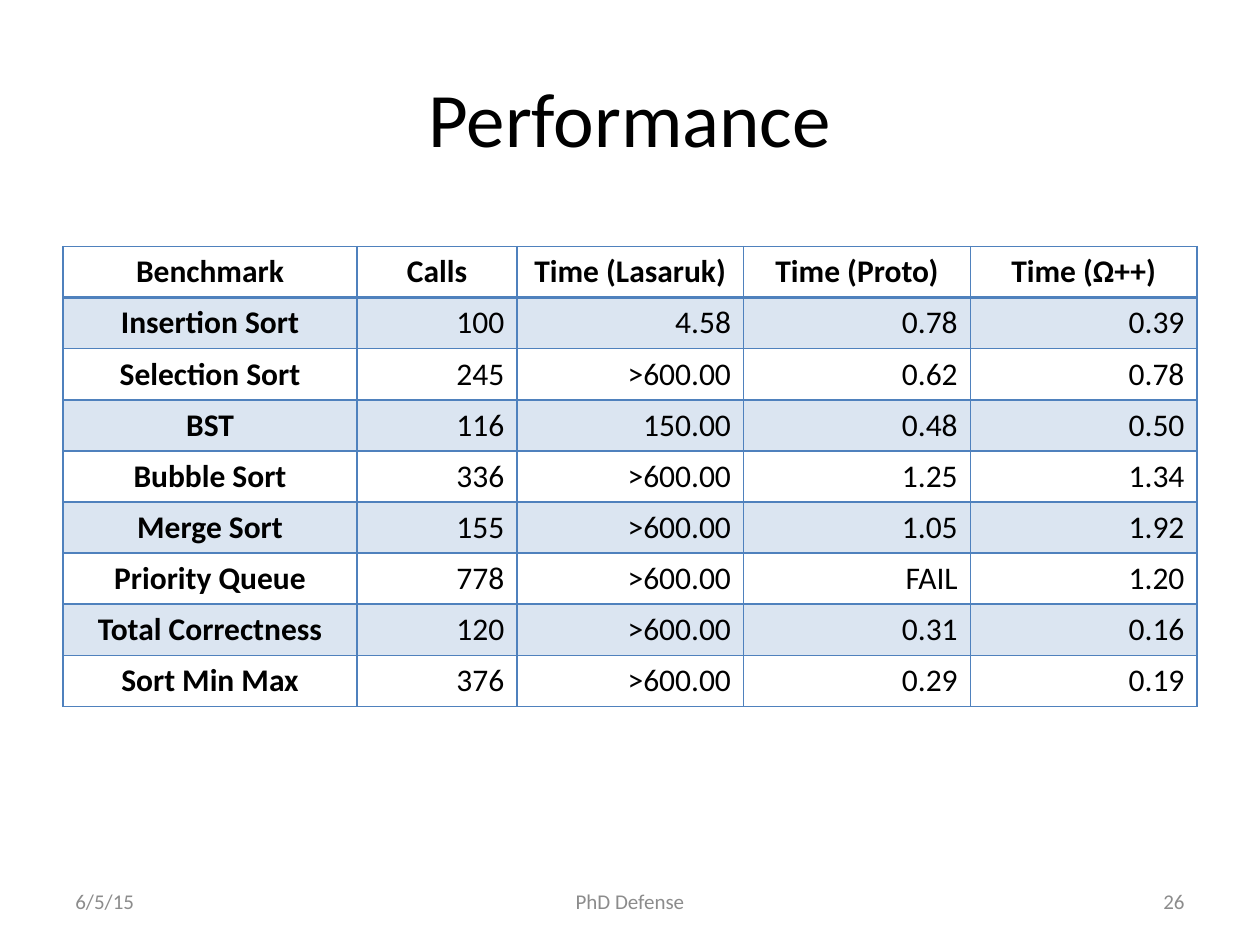
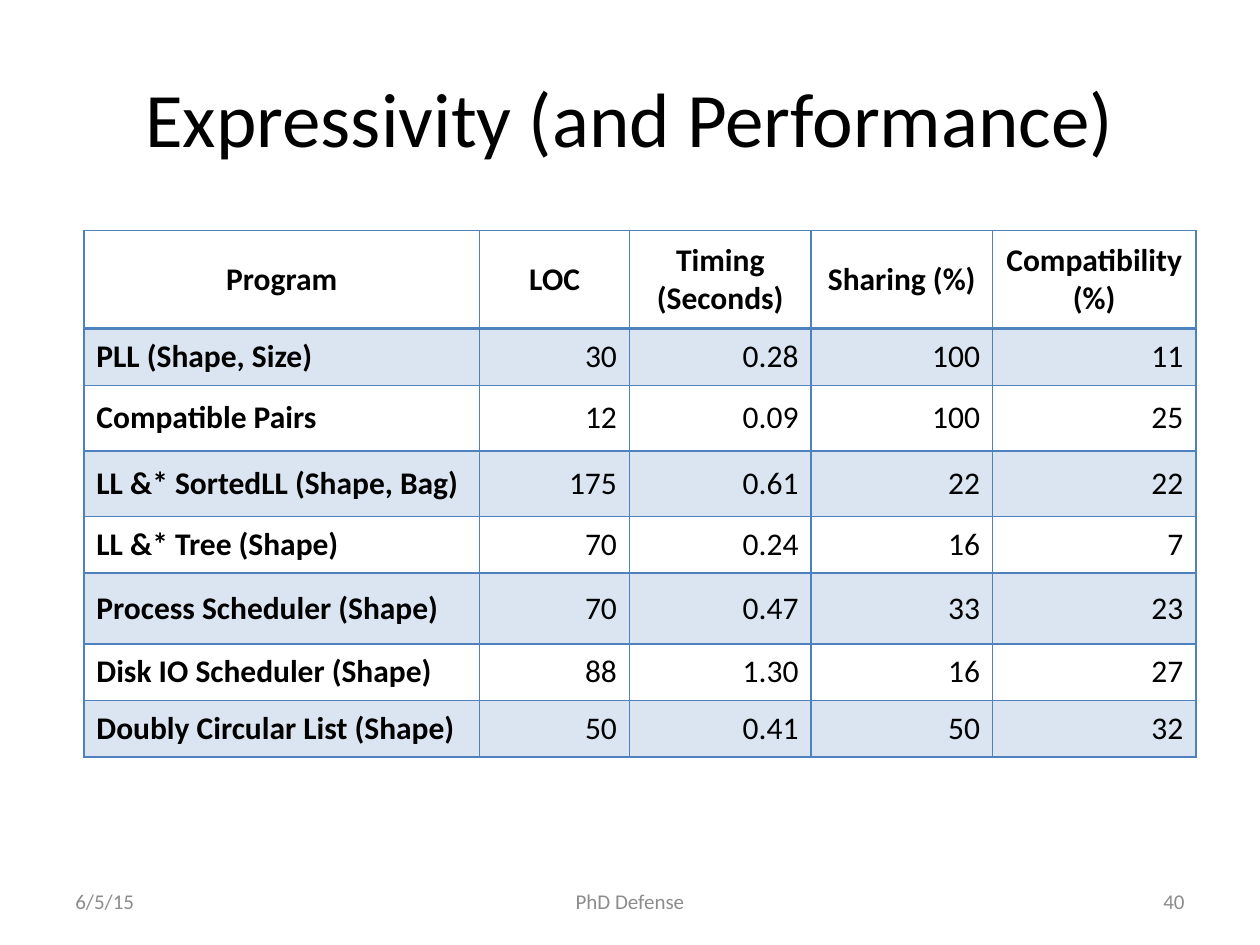
from pptx import Presentation
from pptx.dml.color import RGBColor
from pptx.enum.text import MSO_ANCHOR, PP_ALIGN
from pptx.oxml import parse_xml
from pptx.oxml.ns import nsdecls, qn
from pptx.util import Cm, Pt
from lxml import etree

LEFT, MID, RIGHT = PP_ALIGN.LEFT, PP_ALIGN.CENTER, PP_ALIGN.RIGHT
CENTRE = MSO_ANCHOR.MIDDLE
FONT = "Calibri"
HUES = {"text": "000000", "foot": "8C8C8C", "blue": "4F81BD"}
TITLE_BOX = (1.27, 0.76, 22.86, 3.18)
FOOT_BOX = (1.27, 17.65, 22.86, 1.02)

TIMES = [
    ["Benchmark", "Calls", "Time (Lasaruk)", "Time (Proto)", "Time (\u2126++)"],
    ["Insertion Sort", "100", "4.58", "0.78", "0.39"],
    ["Selection Sort", "245", ">600.00", "0.62", "0.78"],
    ["BST", "116", "150.00", "0.48", "0.50"],
    ["Bubble Sort", "336", ">600.00", "1.25", "1.34"],
    ["Merge Sort", "155", ">600.00", "1.05", "1.92"],
    ["Priority Queue", "778", ">600.00", "FAIL", "1.20"],
    ["Total Correctness", "120", ">600.00", "0.31", "0.16"],
    ["Sort Min Max", "376", ">600.00", "0.29", "0.19"],
]
PROGRAMS = [
    ["Program", "LOC", "Timing\v(Seconds)", "Sharing (%)", "Compatibility(%)"],
    ["PLL (Shape, Size)", "30", "0.28", "100", "11"],
    ["Compatible Pairs", "12", "0.09", "100", "25"],
    ["LL &* SortedLL (Shape, Bag)", "175", "0.61", "22", "22"],
    ["LL &* Tree (Shape)", "70", "0.24", "16", "7"],
    ["Process Scheduler (Shape)", "70", "0.47", "33", "23"],
    ["Disk IO Scheduler (Shape)", "88", "1.30", "16", "27"],
    ["Doubly Circular List (Shape)", "50", "0.41", "50", "32"],
]


def style(frame, text, size, hue, align, bold=False):
    """Fill a text frame and format its runs."""
    frame.text = text
    frame.word_wrap = True
    for para in frame.paragraphs:
        para.alignment = align
        for run in para.runs:
            font = run.font
            font.name, font.size, font.bold = FONT, Pt(size), bold
            font.color.rgb = RGBColor.from_string(HUES[hue])


def label(slide, box, text, size, hue, align):
    """Add a vertically centred text box."""
    frame = slide.shapes.add_textbox(*map(Cm, box)).text_frame
    style(frame, text, size, hue, align)
    frame.vertical_anchor = CENTRE


def footer(slide, box, number):
    """Place date, talk and slide number along the box."""
    left, top, width, height = box
    side, core = 5.92, 8.05
    label(slide, (left, top, side, height), "6/5/15", 12, "foot", LEFT)
    label(slide, (left + (width - core) / 2, top, core, height),
          "PhD Defense", 12, "foot", MID)
    label(slide, (left + width - side, top, side, height),
          str(number), 12, "foot", RIGHT)


def tint(cell):
    """Fill a cell with see-through blue."""
    cell.fill.solid()
    cell.fill.fore_color.rgb = RGBColor.from_string(HUES["blue"])
    colour = cell.fill._xPr.find(qn("a:solidFill"))[0]
    etree.SubElement(colour, qn("a:alpha")).set("val", "20000")


def edge(cell, row):
    """Rule all four sides of a cell, with a heavy line under the header."""
    props = cell._tc.get_or_add_tcPr()
    heavy = {"T": row == 1, "B": row == 0}
    for spot, side in enumerate("LRTB"):
        width = Pt(2 if heavy.get(side) else 1)
        props.insert(spot, parse_xml(
            f'<a:ln{side} {nsdecls("a")} w="{width}"><a:solidFill>'
            f'<a:srgbClr val="{HUES["blue"]}"/></a:solidFill></a:ln{side}>'))


def grid(slide, spot, data, cols, rows, lead):
    """Add a ruled table with tinted odd rows."""
    size = sum(cols), sum(rows)
    table = slide.shapes.add_table(
        len(rows), len(cols), *map(Cm, spot + size)).table
    table.first_row = table.horz_banding = False
    for col, width in zip(table.columns, cols):
        col.width = Cm(width)
    for r, (line, height) in enumerate(zip(data, rows)):
        table.rows[r].height = Cm(height)
        for c, text in enumerate(line):
            cell = table.cell(r, c)
            align = MID if r == 0 else lead if c == 0 else RIGHT
            style(cell.text_frame, text, 18, "text", align, r == 0 or c == 0)
            cell.vertical_anchor = CENTRE
            if r % 2:
                tint(cell)
            else:
                cell.fill.background()
            edge(cell, r)


def page(deck, title, number, *parts):
    """Add a slide with title, table and footer."""
    slide = deck.slides.add_slide(deck.slide_layouts[6])
    label(slide, TITLE_BOX, title, 44, "text", MID)
    grid(slide, *parts)
    footer(slide, FOOT_BOX, number)


def main():
    """Build and save the deck."""
    deck = Presentation()
    deck.slide_width, deck.slide_height = Cm(25.4), Cm(19.05)
    page(deck, "Performance", 26, (1.27, 4.97), TIMES,
         [5.93, 3.22] + [4.57] * 3, [1.03] * len(TIMES), MID)
    page(deck, "Expressivity (and Performance)", 40, (1.69, 4.65), PROGRAMS,
         [7.98, 3.02, 3.66, 3.66, 4.1],
         [1.98, 1.14, 1.32, 1.32, 1.14, 1.43, 1.14, 1.14], LEFT)
    deck.save("out.pptx")


main()
